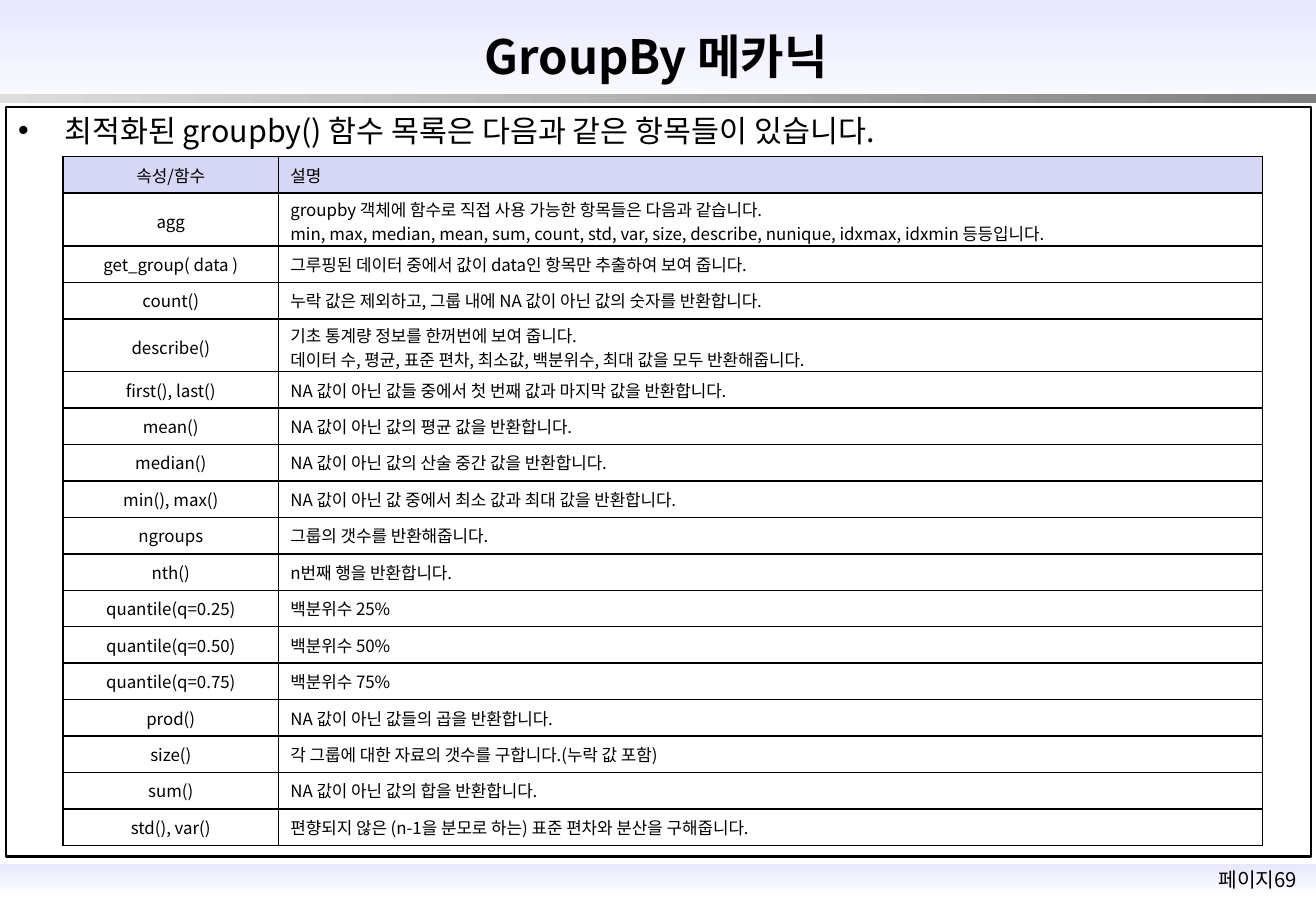
import pptx
import pptx.util
import pptx.dml.color
import pptx.enum.shapes
import pptx.enum.text
import pptx.oxml
import pptx.oxml.ns
from lxml import etree

Inches = pptx.util.Inches
Pt = pptx.util.Pt
ALIGN = pptx.enum.text.PP_ALIGN
MIDDLE = pptx.enum.text.MSO_ANCHOR.MIDDLE
RECTANGLE = pptx.enum.shapes.MSO_SHAPE.RECTANGLE
FONT = "Noto Sans CJK KR"
qn = pptx.oxml.ns.qn


def color(value):
    return pptx.dml.color.RGBColor.from_string(value)


def add_span(para, text, size, bold=False):
    span = para.add_run()
    span.text = text
    span.font.name = FONT
    span.font.size = Pt(size)
    span.font.bold = bold
    span.font.color.rgb = color("000000")
    etree.SubElement(span.font._element, qn("a:ea"), typeface=FONT)


deck = pptx.Presentation()
deck.slide_width = Inches(10.83)
deck.slide_height = Inches(7.5)
page = deck.slides.add_slide(deck.slide_layouts[6])

# Gradient bands: footer, header, grey rule
bands = [
    (7.11, 0.27, 270, "E7E7FF", "FFFFFF"),
    (0, 1, 270, "E7E7FF", "FFFFFF"),
    (0.77, 0.08, 0, "DDDDDD", "808080"),
]
for top, height, angle, start, end in bands:
    band = page.shapes.add_shape(RECTANGLE, 0, Inches(top), Inches(10.83), Inches(height))
    band.shadow.inherit = False
    band.line.fill.background()
    band.fill.gradient()
    band.fill.gradient_angle = angle
    for stop, value, position in zip(band.fill.gradient_stops, (start, end), (0, 1)):
        stop.color.rgb = color(value)
        stop.position = position

# Content frame
frame = page.shapes.add_shape(RECTANGLE, Inches(0.05), Inches(0.88), Inches(10.74), Inches(6.17))
frame.shadow.inherit = False
frame.fill.background()
frame.line.color.rgb = color("000000")
frame.line.width = Pt(1.5)

# Title, lead sentence and page number
texts = [
    ("GroupBy 메카닉", 1.39, 0.17, 8.02, 0.58, 28, True, ALIGN.CENTER),
    ("최적화된 groupby() 함수 목록은 다음과 같은 항목들이 있습니다.", 0.05, 0.87, 10.55, 0.4, 18, False, ALIGN.LEFT),
    ("페이지69", 9.82, 7.09, 1.06, 0.3, 12, False, ALIGN.CENTER),
]
for text, left, top, width, height, size, bold, align in texts:
    box = page.shapes.add_textbox(Inches(left), Inches(top), Inches(width), Inches(height))
    box.text_frame.word_wrap = True
    box.text_frame.vertical_anchor = MIDDLE
    box.text_frame.margin_top = box.text_frame.margin_bottom = 0
    para = box.text_frame.paragraphs[0]
    para.alignment = align
    add_span(para, text, size, bold)
    if align == ALIGN.LEFT:
        layout = para._p.get_or_add_pPr()
        layout.set("marL", str(Inches(0.38)))
        layout.set("indent", str(-Inches(0.38)))
        etree.SubElement(layout, qn("a:buFont"), typeface="Arial")
        etree.SubElement(layout, qn("a:buChar"), char="•")

# Function table
rows = [
    ("속성/함수", "설명"),
    ("agg", "groupby 객체에 함수로 직접 사용 가능한 항목들은 다음과 같습니다.\n"
            "min, max, median, mean, sum, count, std, var, size, describe, nunique, idxmax, idxmin 등등입니다."),
    ("get_group( data )", "그루핑된 데이터 중에서 값이 data인 항목만 추출하여 보여 줍니다."),
    ("count()", "누락 값은 제외하고, 그룹 내에 NA 값이 아닌 값의 숫자를 반환합니다."),
    ("describe()", "기초 통계량 정보를 한꺼번에 보여 줍니다.\n"
                   "데이터 수, 평균, 표준 편차, 최소값, 백분위수, 최대 값을 모두 반환해줍니다."),
    ("first(), last()", "NA 값이 아닌 값들 중에서 첫 번째 값과 마지막 값을 반환합니다."),
    ("mean()", "NA 값이 아닌 값의 평균 값을 반환합니다."),
    ("median()", "NA 값이 아닌 값의 산술 중간 값을 반환합니다."),
    ("min(), max()", "NA 값이 아닌 값 중에서 최소 값과 최대 값을 반환합니다."),
    ("ngroups", "그룹의 갯수를 반환해줍니다."),
    ("nth()", "n번째 행을 반환합니다."),
    ("quantile(q=0.25)", "백분위수 25%"),
    ("quantile(q=0.50)", "백분위수 50%"),
    ("quantile(q=0.75)", "백분위수 75%"),
    ("prod()", "NA 값이 아닌 값들의 곱을 반환합니다."),
    ("size()", "각 그룹에 대한 자료의 갯수를 구합니다.(누락 값 포함)"),
    ("sum()", "NA 값이 아닌 값의 합을 반환합니다."),
    ("std(), var()", "편향되지 않은 (n-1을 분모로 하는) 표준 편차와 분산을 구해줍니다."),
]
table = page.shapes.add_table(len(rows), 2, Inches(0.52), Inches(1.29), Inches(9.87), Inches(5.67)).table
table.first_row = False
table.horz_banding = False
table.columns[0].width = Inches(1.77)
table.columns[1].width = Inches(8.1)

for r, row in enumerate(rows):
    two_lines = "\n" in row[1]
    table.rows[r].height = Inches(0.435 if two_lines else 0.3)
    for c, text in enumerate(row):
        cell = table.cell(r, c)
        cell.vertical_anchor = MIDDLE
        cell.margin_top = Inches(0.03 if two_lines else 0.04)
        cell.margin_bottom = Inches(0 if two_lines else 0.04)
        for i, line in enumerate(text.split("\n")):
            para = cell.text_frame.paragraphs[0] if i == 0 else cell.text_frame.add_paragraph()
            para.alignment = ALIGN.CENTER if c == 0 else ALIGN.LEFT
            add_span(para, line, 10)
        # Borders come before the fill in the cell properties
        props = cell._tc.get_or_add_tcPr()
        for side in ("a:lnL", "a:lnR", "a:lnT", "a:lnB"):
            border = etree.SubElement(props, qn(side), w=str(Pt(1)))
            solid = etree.SubElement(border, qn("a:solidFill"))
            etree.SubElement(solid, qn("a:srgbClr"), val="000000")
        if r == 0:
            cell.fill.solid()
            cell.fill.fore_color.rgb = color("D6D6F5")
        else:
            cell.fill.background()

deck.save("out.pptx")
